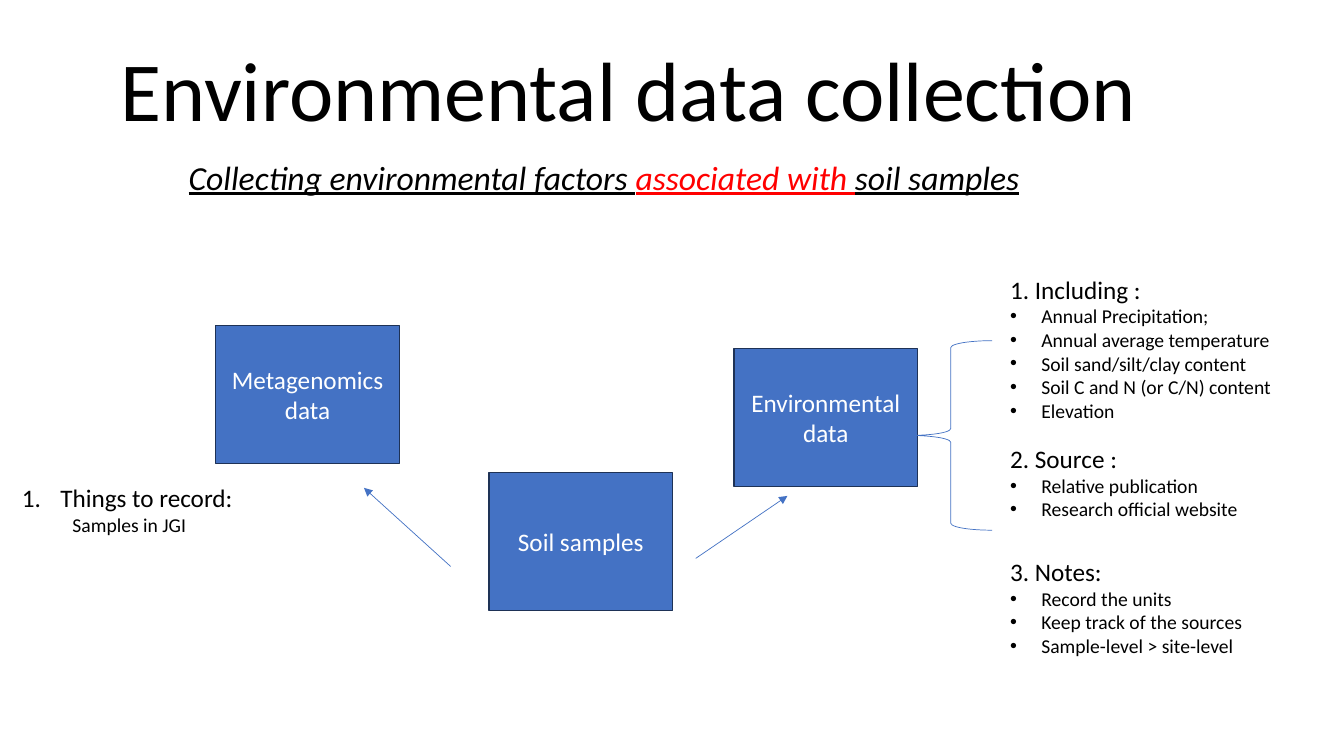
from dataclasses import dataclass

import pptx
import pptx.dml.color
import pptx.enum.shapes
import pptx.enum.text
import pptx.oxml
import pptx.oxml.ns
import pptx.slide
import pptx.util

RGBColor = pptx.dml.color.RGBColor
Align = pptx.enum.text.PP_ALIGN
Anchor = pptx.enum.text.MSO_ANCHOR
AutoSize = pptx.enum.text.MSO_AUTO_SIZE
ShapeType = pptx.enum.shapes.MSO_SHAPE

PX = 9144  # one px is a hundredth of an inch
FONT = "Calibri"
BLACK = RGBColor(0x00, 0x00, 0x00)
WHITE = RGBColor(0xFF, 0xFF, 0xFF)
RED = RGBColor(0xFF, 0x00, 0x00)
BLUE = RGBColor(0x44, 0x72, 0xC4)
NAVY = RGBColor(0x1E, 0x32, 0x56)

BOX_WIDTH, BOX_HEIGHT = 182, 137
NOTE_LEFT, NOTE_WIDTH = 992, 337
HEADING_SIZE, ITEM_SIZE = 18, 14


@dataclass(frozen=True)
class DataBox:
    left: int
    top: int
    lines: tuple[str, ...]


@dataclass(frozen=True)
class Arrow:
    begin: tuple[int, int]
    end: tuple[int, int]


@dataclass(frozen=True)
class Note:
    top: int
    height: int
    heading: str
    items: tuple[str, ...]


BOXES = (
    DataBox(485, 469, ("Soil samples",)),
    DataBox(214, 323, ("Metagenomics", "data")),
    DataBox(728, 346, ("Environmental", "data")),
)
ARROWS = (
    Arrow((447, 562), (361, 484)),
    Arrow((690, 554), (781, 492)),
)
NOTES = (
    Note(267, 158, "1. Including :", (
        "Annual Precipitation;",
        "Annual average temperature",
        "Soil sand/silt/clay content",
        "Soil C and N (or C/N) content",
        "Elevation",
    )),
    Note(435, 88, "2. Source :", ("Relative publication", "Research official website")),
    Note(547, 111, "3. Notes:", (
        "Record the units",
        "Keep track of the sources",
        "Sample-level > site-level",
    )),
)


def px(*lengths: int) -> list[pptx.util.Emu]:
    return [pptx.util.Emu(length * PX) for length in lengths]


def add_run(paragraph, text: str, size: int, color: RGBColor = BLACK, emphasis: bool = False) -> None:
    run = paragraph.add_run()
    run.text = text
    run.font.name = FONT
    run.font.size = pptx.util.Pt(size)
    run.font.color.rgb = color
    if emphasis:
        run.font.italic = run.font.underline = True


def next_paragraph(frame, index: int):
    return frame.paragraphs[0] if index == 0 else frame.add_paragraph()


def set_indent(paragraph, left: int, first: int, *bullet_tags: str) -> None:
    properties = paragraph._p.get_or_add_pPr()
    properties.set("marL", str(left * PX))
    properties.set("indent", str(first * PX))
    for tag in bullet_tags:
        properties.append(pptx.oxml.parse_xml(f"<a:{tag} {pptx.oxml.ns.nsdecls('a')}/>"))


def format_placeholder(shape, bounds: tuple[int, int, int, int], anchor: Anchor):
    shape.left, shape.top, shape.width, shape.height = px(*bounds)
    frame = shape.text_frame
    frame.word_wrap = True
    frame.auto_size = AutoSize.NONE
    frame.vertical_anchor = anchor
    paragraph = frame.paragraphs[0]
    paragraph.alignment = Align.CENTER
    paragraph.line_spacing = 0.9
    return paragraph


def add_text_frame(slide: pptx.slide.Slide, left: int, top: int, height: int):
    frame = slide.shapes.add_textbox(*px(left, top, NOTE_WIDTH, height)).text_frame
    frame.word_wrap = True
    frame.auto_size = AutoSize.SHAPE_TO_FIT_TEXT
    return frame


def add_data_box(slide: pptx.slide.Slide, box: DataBox) -> None:
    shape = slide.shapes.add_shape(
        ShapeType.RECTANGLE, *px(box.left, box.top, BOX_WIDTH, BOX_HEIGHT))
    shape.shadow.inherit = False
    shape.fill.solid()
    shape.fill.fore_color.rgb = BLUE
    shape.line.color.rgb = NAVY
    shape.line.width = pptx.util.Pt(1)
    frame = shape.text_frame
    frame.word_wrap = True
    frame.vertical_anchor = Anchor.MIDDLE
    for index, line in enumerate(box.lines):
        paragraph = next_paragraph(frame, index)
        paragraph.alignment = Align.CENTER
        add_run(paragraph, line, HEADING_SIZE, WHITE)


def add_arrow(slide: pptx.slide.Slide, arrow: Arrow) -> None:
    connector = slide.shapes.add_connector(
        pptx.enum.shapes.MSO_CONNECTOR.STRAIGHT, *px(*arrow.begin, *arrow.end))
    connector.line.color.rgb = BLUE
    connector.line.width = pptx.util.Pt(0.5)
    namespace = pptx.oxml.ns.nsdecls("a")
    connector.line._get_or_add_ln().append(
        pptx.oxml.parse_xml(f'<a:tailEnd {namespace} type="triangle"/>'))
    connector._element.spPr.append(pptx.oxml.parse_xml(f"<a:effectLst {namespace}/>"))


def add_brace(slide: pptx.slide.Slide) -> None:
    brace = slide.shapes.add_shape(ShapeType.LEFT_BRACE, *px(902, 338, 82, 188))
    brace.shadow.inherit = False
    brace.fill.background()
    brace.line.color.rgb = BLUE
    brace.line.width = pptx.util.Pt(0.5)


def add_note(slide: pptx.slide.Slide, note: Note) -> None:
    frame = add_text_frame(slide, NOTE_LEFT, note.top, note.height)
    add_run(frame.paragraphs[0], note.heading, HEADING_SIZE)
    for item in note.items:
        paragraph = frame.add_paragraph()
        set_indent(paragraph, 31, -31, 'buFont typeface="Arial"', 'buChar char="•"')
        add_run(paragraph, item, ITEM_SIZE)


def add_record_list(slide: pptx.slide.Slide) -> None:
    frame = add_text_frame(slide, 12, 474, 64)
    heading = frame.paragraphs[0]
    set_indent(heading, 38, -38, 'buFont typeface="+mj-lt"', 'buAutoNum type="arabicPeriod"')
    add_run(heading, "Things to record:", HEADING_SIZE)
    detail = frame.add_paragraph()
    detail.level = 1
    set_indent(detail, 50, 0)
    add_run(detail, "Samples in JGI", ITEM_SIZE)


def main() -> None:
    presentation = pptx.Presentation()
    presentation.slide_width, presentation.slide_height = px(1333, 750)
    slide = presentation.slides.add_slide(presentation.slide_layouts[0])

    # Title and subtitle
    title = format_placeholder(slide.shapes.title, (0, 0, 1246, 144), Anchor.BOTTOM)
    add_run(title, "Environmental data collection", 60)
    subtitle = format_placeholder(slide.placeholders[1], (99, 155, 1000, 81), Anchor.TOP)
    subtitle.space_before = pptx.util.Pt(10)
    add_run(subtitle, "Collecting environmental factors ", 24, emphasis=True)
    add_run(subtitle, "associated with ", 24, RED, emphasis=True)
    add_run(subtitle, "soil samples", 24, emphasis=True)

    # Diagram
    for box in BOXES:
        add_data_box(slide, box)
    for arrow in ARROWS:
        add_arrow(slide, arrow)
    add_brace(slide)

    # Notes beside the diagram
    for note in NOTES:
        add_note(slide, note)
    add_record_list(slide)

    presentation.save("out.pptx")


if __name__ == "__main__":
    main()
